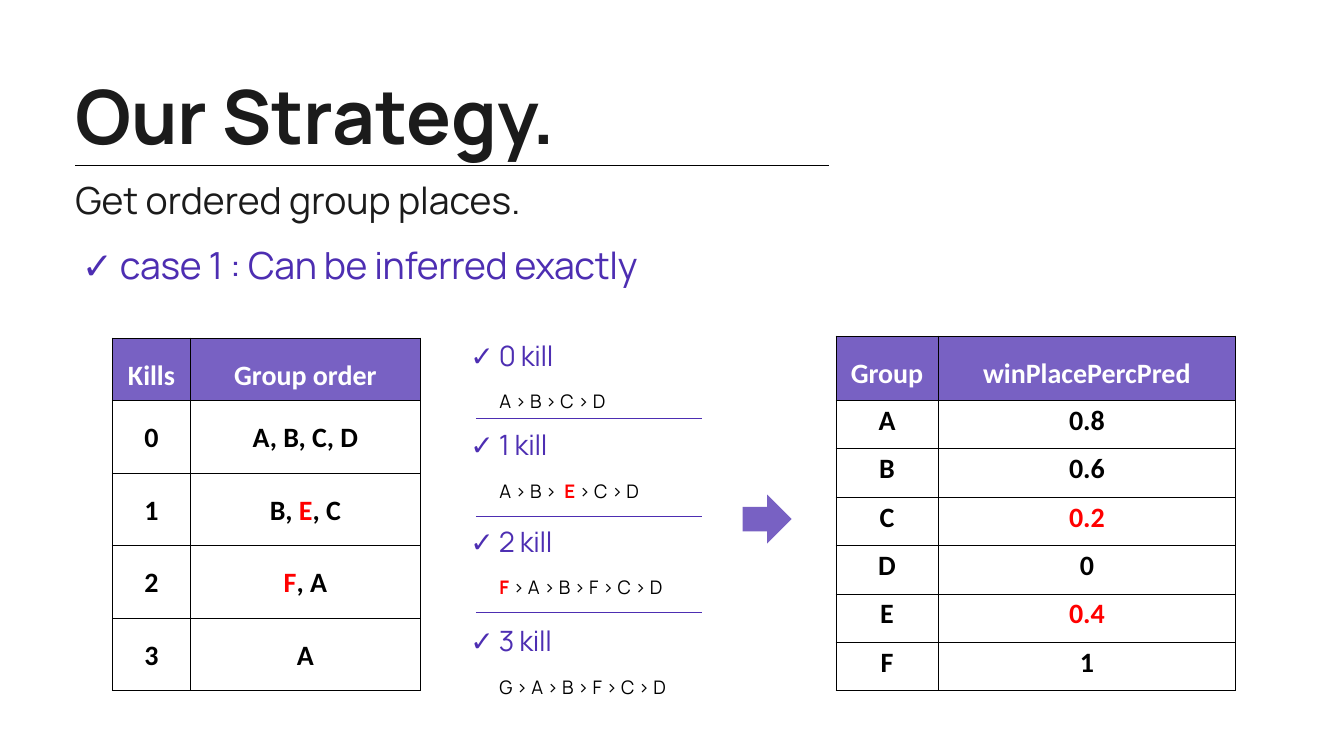
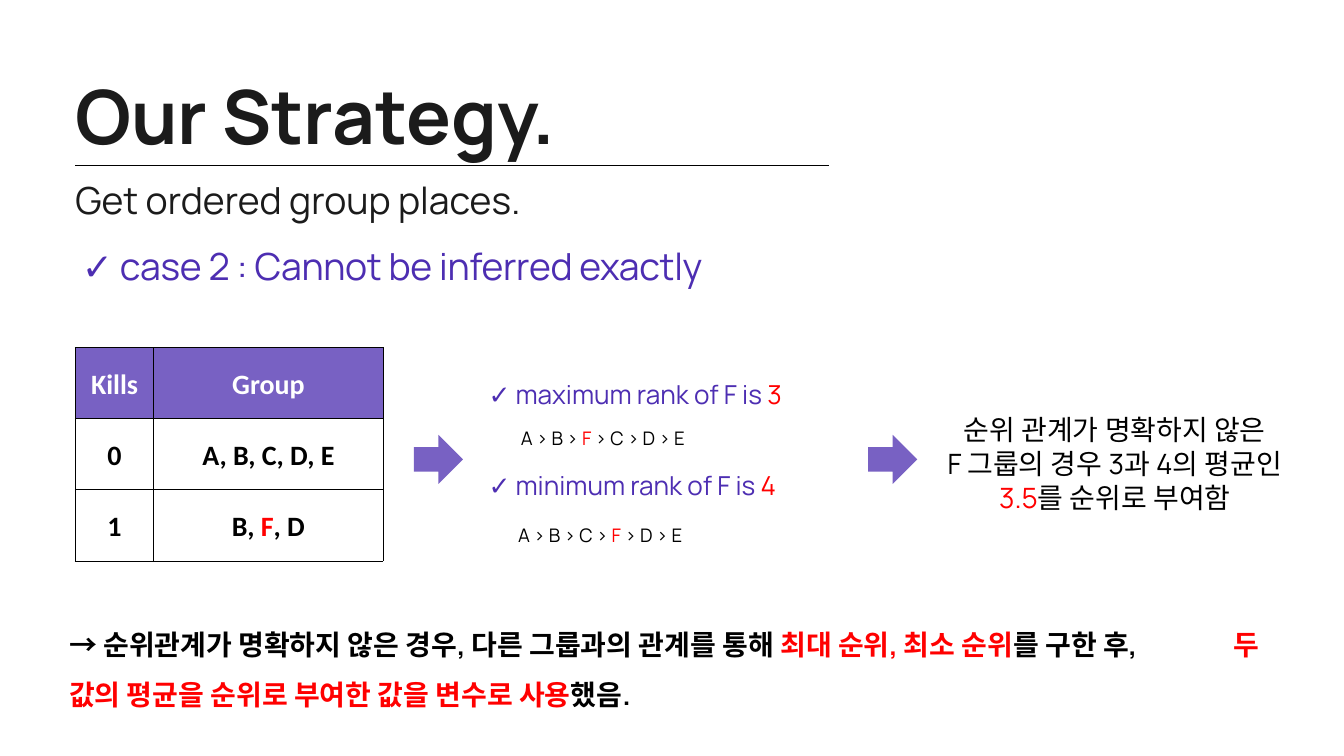
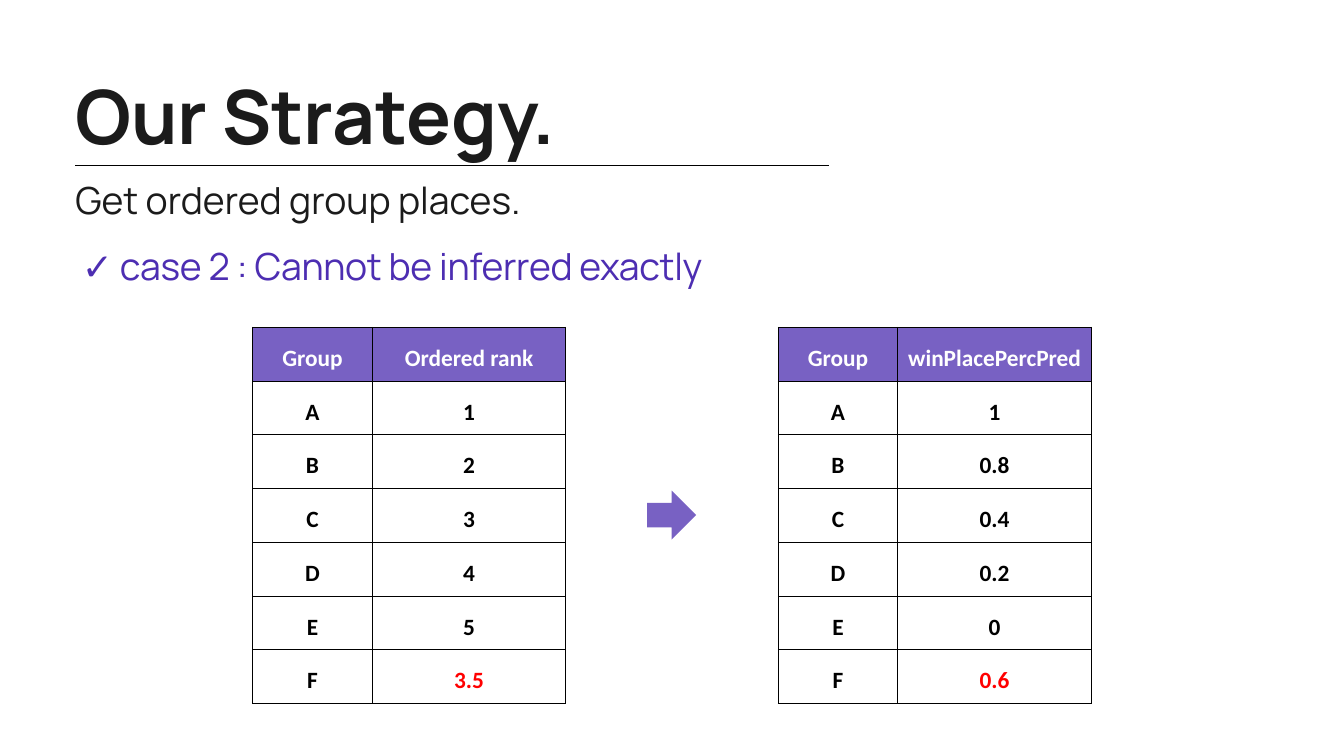
"""Build three strategy slides on ordering groups by kills."""

import dataclasses
import typing

import lxml.etree
import pptx
import pptx.dml.color
import pptx.enum.shapes
import pptx.enum.text
import pptx.oxml.ns
import pptx.slide
import pptx.table
import pptx.text.text
import pptx.util

Inches = pptx.util.Inches
Pt = pptx.util.Pt
RGBColor = pptx.dml.color.RGBColor
Align = pptx.enum.text.PP_ALIGN
qn = pptx.oxml.ns.qn

INK = RGBColor(0x1B, 0x1B, 0x1B)
BLACK = RGBColor(0x00, 0x00, 0x00)
WHITE = RGBColor(0xFF, 0xFF, 0xFF)
RED = RGBColor(0xFF, 0x00, 0x00)
VIOLET = RGBColor(0x4D, 0x2E, 0xB2)
LAVENDER = RGBColor(0x78, 0x61, 0xC3)

TEXT_FONT = "Manrope"
TABLE_FONT = "Calibri"
MARGIN_LEFT = 1.12
ARROW_SIZE = 0.73


@dataclasses.dataclass(frozen=True)
class Style:
    size: float
    color: RGBColor = BLACK
    font: str = TEXT_FONT
    bold: bool = False
    accent_bold: bool = False
    spacing: typing.Any = None
    align: Align = Align.LEFT
    tracking: int = 0


@dataclasses.dataclass(frozen=True)
class Box:
    left: float
    top: float
    width: float
    height: float

    def emu(self) -> tuple[int, ...]:
        return tuple(Inches(value) for value in dataclasses.astuple(self))


@dataclasses.dataclass(frozen=True)
class Grid:
    left: float
    top: float
    columns: tuple[float, ...]
    header_height: float
    row_height: float
    rows: tuple[tuple[str, ...], ...]
    size: float = 30
    body_spacing: float = 1.5
    inset_y: float = 0.05


@dataclasses.dataclass(frozen=True)
class KillStep:
    top: float
    heading: str
    ranking: str
    divider: float | None = None


@dataclasses.dataclass(frozen=True)
class RankBound:
    heading: str
    heading_top: float
    ranking: str
    ranking_left: float
    ranking_top: float


TITLE = Style(80, INK, bold=True)
SUBTITLE = Style(40, INK, spacing=Pt(28.4))
CASE = Style(40, VIOLET, spacing=Pt(36.4), tracking=-30)
KILL = Style(30, VIOLET, spacing=Pt(36.4), tracking=-30)
BOUND = Style(28, VIOLET, spacing=Pt(36.4))
KILL_RANKING = Style(20, spacing=1.5, accent_bold=True)
BOUND_RANKING = Style(20, spacing=1.5)
AVERAGE = Style(30, spacing=Pt(36.4), align=Align.CENTER)
CONCLUSION = Style(30, bold=True, accent_bold=True, spacing=1.5)

KILL_STEPS = (
    KillStep(5.03, "✓ 0 kill", "A > B > C > D", 6.23),
    KillStep(6.36, "✓ 1 kill", "A > B >  *E* > C > D", 7.68),
    KillStep(7.8, "✓ 2 kill", "*F* > A > B > F > C > D", 9.12),
    KillStep(9.28, "✓ 3 kill", "G > A > B > F > C > D"),
)
RANK_BOUNDS = (
    RankBound("✓ maximum rank of F is *3*", 5.59, "A > B > *F* > C > D > E", 7.75, 6.18),
    RankBound("✓ minimum rank of F is *4*", 6.94, "A > B > C > *F* > D > E", 7.71, 7.63),
)
EXACT_KILLS = Grid(
    1.67, 5.03, (1.17, 3.41), 0.93, 1.08,
    (("Kills", "Group order"), ("0", "A, B, C, D"), ("1", "B, *E*, C"),
     ("2", "*F*, A"), ("3", "A")),
)
EXACT_PLACES = Grid(
    12.44, 5, (1.52, 4.43), 0.96, 0.72,
    (("Group", "winPlacePercPred"), ("A", "0.8"), ("B", "0.6"), ("C", "*0.2*"),
     ("D", "0"), ("E", "*0.4*"), ("F", "1")),
    body_spacing=1.0,
)
INEXACT_KILLS = Grid(
    MARGIN_LEFT, 5.17, (1.17, 3.41), 1.06, 1.06,
    (("Kills", "Group"), ("0", "A, B, C, D, E"), ("1", "B, *F*, D")),
)
ORDERED_RANKS = Grid(
    3.76, 4.87, (1.78, 2.88), 0.8, 0.8,
    (("Group", "Ordered rank"), ("A", "1"), ("B", "2"), ("C", "3"), ("D", "4"),
     ("E", "5"), ("F", "*3.5*")),
    size=25, inset_y=0.04,
)
INEXACT_PLACES = dataclasses.replace(
    ORDERED_RANKS,
    left=11.58,
    rows=(("Group", "winPlacePercPred"), ("A", "1"), ("B", "0.8"), ("C", "0.4"),
          ("D", "0.2"), ("E", "0"), ("F", "*0.6*")),
)


def apply(target: typing.Any, values: dict[str, typing.Any]) -> None:
    """Set every named attribute on the target."""
    for name, value in values.items():
        setattr(target, name, value)


def write_paragraph(paragraph: typing.Any, text: str, style: Style) -> None:
    """Write text whose parts between asterisks are red."""
    apply(paragraph, {"alignment": style.align, "line_spacing": style.spacing,
                      "space_before": Pt(0)})
    for index, part in enumerate(text.split("*")):
        if not part:
            continue
        accented = index % 2 == 1
        run = paragraph.add_run()
        run.text = part
        apply(run.font, {"size": Pt(style.size), "name": style.font,
                         "bold": style.accent_bold if accented else style.bold})
        run.font.color.rgb = RED if accented else style.color
        if style.tracking:
            run.font._element.set("spc", str(style.tracking))


def write_frame(frame: pptx.text.text.TextFrame, text: str, style: Style,
                inset: tuple[float, float] = (0, 0)) -> None:
    """Fill a text frame, one paragraph for each line."""
    side, end = (Inches(value) for value in inset)
    apply(frame, {
        "word_wrap": True,
        "auto_size": pptx.enum.text.MSO_AUTO_SIZE.SHAPE_TO_FIT_TEXT,
        "vertical_anchor": pptx.enum.text.MSO_ANCHOR.TOP,
        "margin_left": side, "margin_right": side,
        "margin_top": end, "margin_bottom": end,
    })
    for index, line in enumerate(text.split("\n")):
        paragraph = frame.add_paragraph() if index else frame.paragraphs[0]
        write_paragraph(paragraph, line, style)


def add_text(slide: pptx.slide.Slide, box: Box, text: str, style: Style,
             inset: tuple[float, float] = (0, 0)) -> pptx.text.text.TextFrame:
    """Add a wrapping text box."""
    frame = slide.shapes.add_textbox(*box.emu()).text_frame
    write_frame(frame, text, style, inset)
    return frame


def fill_placeholder(placeholder: typing.Any, box: Box, text: str, style: Style) -> None:
    """Move a template placeholder and write its text."""
    apply(placeholder, dict(zip(("left", "top", "width", "height"), box.emu())))
    write_frame(placeholder.text_frame, text, style)


def add_rule(slide: pptx.slide.Slide, left: float, right: float, top: float,
             color: RGBColor) -> None:
    """Draw a thin horizontal line."""
    rule = slide.shapes.add_connector(
        pptx.enum.shapes.MSO_CONNECTOR.STRAIGHT,
        Inches(left), Inches(top), Inches(right), Inches(top))
    rule.line.width = Pt(0.75)
    rule.line.color.rgb = color
    lxml.etree.SubElement(rule._element.spPr, qn("a:effectLst"))


def add_arrow(slide: pptx.slide.Slide, left: float, top: float) -> None:
    """Draw a block arrow between two steps."""
    arrow = slide.shapes.add_shape(
        pptx.enum.shapes.MSO_SHAPE.RIGHT_ARROW,
        *Box(left, top, ARROW_SIZE, ARROW_SIZE).emu())
    arrow.shadow.inherit = False
    arrow.fill.solid()
    arrow.fill.fore_color.rgb = LAVENDER
    arrow.line.fill.background()


def outline_cell(cell: typing.Any) -> None:
    """Give a cell black borders ahead of its fill."""
    properties = cell._tc.get_or_add_tcPr()
    for position, side in enumerate(("lnL", "lnR", "lnT", "lnB")):
        border = lxml.etree.Element(qn(f"a:{side}"), w=str(Pt(1)))
        solid = lxml.etree.SubElement(border, qn("a:solidFill"))
        lxml.etree.SubElement(solid, qn("a:srgbClr"), val=str(BLACK))
        properties.insert(position, border)


def add_grid(slide: pptx.slide.Slide, grid: Grid) -> None:
    """Add a table with a lavender header row."""
    heights = [grid.header_height] + [grid.row_height] * (len(grid.rows) - 1)
    box = Box(grid.left, grid.top, sum(grid.columns), sum(heights))
    table = slide.shapes.add_table(len(grid.rows), len(grid.columns), *box.emu()).table
    for column, width in zip(table.columns, grid.columns):
        column.width = Inches(width)
    header = Style(grid.size, WHITE, TABLE_FONT, True, True, 1.5, Align.CENTER)
    body = dataclasses.replace(header, color=BLACK, spacing=grid.body_spacing)
    for index, (row, texts, height) in enumerate(zip(table.rows, grid.rows, heights)):
        row.height = Inches(height)
        for cell, text in zip(row.cells, texts):
            apply(cell, {
                "margin_left": Inches(0.13), "margin_right": Inches(0.13),
                "margin_top": Inches(grid.inset_y), "margin_bottom": Inches(grid.inset_y),
            })
            cell.fill.solid()
            cell.fill.fore_color.rgb = WHITE if index else LAVENDER
            outline_cell(cell)
            write_paragraph(cell.text_frame.paragraphs[0], text, body if index else header)


def add_strategy_slide(deck: typing.Any, case: str, case_top: float) -> pptx.slide.Slide:
    """Add a slide with the shared heading and its case line."""
    slide = deck.slides.add_slide(deck.slide_layouts[1])
    title, subtitle = slide.placeholders
    fill_placeholder(title, Box(MARGIN_LEFT, 1.04, 13.92, 1.35), "Our Strategy.", TITLE)
    fill_placeholder(subtitle, Box(MARGIN_LEFT, 2.91, 11.56, 0.46),
                     "Get ordered group places.", SUBTITLE)
    properties = subtitle.text_frame.paragraphs[0]._p.get_or_add_pPr()
    apply_indent = {"marL": "0", "indent": "0"}
    for name, value in apply_indent.items():
        properties.set(name, value)
    lxml.etree.SubElement(properties, qn("a:buNone"))
    add_rule(slide, MARGIN_LEFT, 12.33, 2.46, BLACK)
    add_text(slide, Box(MARGIN_LEFT, case_top, 12.96, 0.65), case, CASE, (0.1, 0.05))
    return slide


def add_exact_case(deck: typing.Any) -> None:
    """Show the order built up kill by kill."""
    slide = add_strategy_slide(deck, "✓ case 1 : Can be inferred exactly", 3.71)
    add_grid(slide, EXACT_KILLS)
    for step in KILL_STEPS:
        add_text(slide, Box(7, step.top, 5.23, 0.41), step.heading, KILL)
        add_text(slide, Box(7.43, step.top + 0.61, 4.9, 0.46), step.ranking, KILL_RANKING)
        if step.divider:
            add_rule(slide, 7.08, 10.44, step.divider, VIOLET)
    add_arrow(slide, 11.05, 7.36)
    add_grid(slide, EXACT_PLACES)


def add_inexact_case(deck: typing.Any, case: str) -> None:
    """Show the average of the highest and lowest rank."""
    slide = add_strategy_slide(deck, case, 3.73)
    add_grid(slide, INEXACT_KILLS)
    for left in (6.16, 12.92):
        add_arrow(slide, left, 6.47)
    for bound in RANK_BOUNDS:
        add_text(slide, Box(7.27, bound.heading_top, 5.74, 0.5), bound.heading, BOUND)
        add_text(slide, Box(bound.ranking_left, bound.ranking_top, 4.9, 0.76),
                 bound.ranking, BOUND_RANKING)
    add_text(slide, Box(13.08, 6.09, 7.02, 1.62),
             "순위 관계가 명확하지 않은\nF 그룹의 경우 3과 4의 평균인\n*3.5*를 순위로 부여함",
             AVERAGE, (0.1, 0.05))
    conclusion = add_text(
        slide, Box(0.93, 9.04, 17.99, 1.55),
        "→ 순위관계가 명확하지 않은 경우, 다른 그룹과의 관계를 통해 *최대 순위, 최소 순위*"
        "를 구한 후,\t*두 값의 평균을 순위로 부여한 값을 변수로 사용*했음.",
        CONCLUSION, (0.1, 0.05))
    properties = conclusion.paragraphs[0]._p.get_or_add_pPr()
    stops = lxml.etree.SubElement(properties, qn("a:tabLst"))
    lxml.etree.SubElement(stops, qn("a:tab"), pos=str(Inches(17.33)), algn="l")


def add_inexact_result(deck: typing.Any, case: str) -> None:
    """Show ordered ranks turning into predicted places."""
    slide = add_strategy_slide(deck, case, 3.73)
    add_grid(slide, ORDERED_RANKS)
    add_arrow(slide, 9.63, 7.3)
    add_grid(slide, INEXACT_PLACES)


def main() -> None:
    """Build and save the deck."""
    deck = pptx.Presentation()
    apply(deck, {"slide_width": Inches(20), "slide_height": Inches(11.25)})
    inexact = "✓ case 2 : Cannot be inferred exactly"
    add_exact_case(deck)
    add_inexact_case(deck, inexact)
    add_inexact_result(deck, inexact)
    deck.save("out.pptx")


if __name__ == "__main__":
    main()
